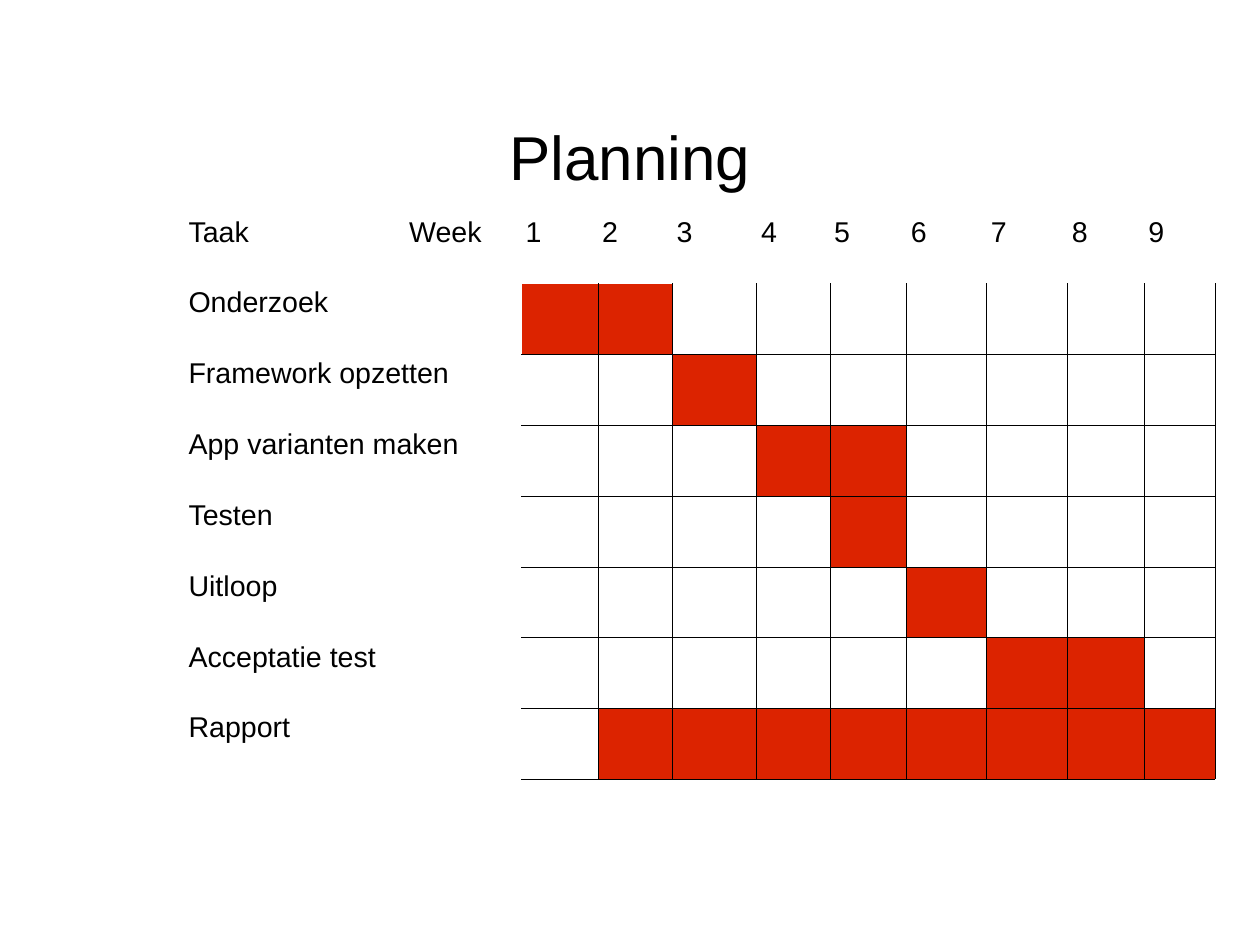
from lxml import etree
from pptx import Presentation, util as u
from pptx.dml.color import RGBColor
from pptx.enum import text
from pptx.oxml.ns import qn
from pptx.util import Inches

COLORS = {"ink": "000000", "paper": "FFFFFF", "busy": "DC2300"}
FONT = "Arial"
CM_PER_INCH = 2.54
LINE_SPACING = 0.93
BORDER_WIDTH = u.Pt(0.06)
ROW_HEIGHT = 0.62
LABEL_COLUMNS = 2
COLUMN_WIDTHS = [1.93, 1.02, 0.67, 0.65, 0.74, 0.64, 0.67, 0.7, 0.71, 0.67, 0.62]
WEEKS = range(1, 10)
# Task, first week, last week
TASKS = [
    ("Onderzoek", 1, 2),
    ("Framework opzetten", 3, 3),
    ("App varianten maken", 4, 5),
    ("Testen", 5, 5),
    ("Uitloop", 6, 6),
    ("Acceptatie test", 7, 8),
    ("Rapport", 2, 9),
]
SINGLE_CELL_LABELS = {"Uitloop"}


def write(frame, wording, size, align=text.PP_ALIGN.LEFT):
    paragraph = frame.paragraphs[0]
    paragraph.alignment = align
    paragraph.line_spacing = LINE_SPACING
    run = paragraph.add_run()
    run.text = wording
    run.font.name = FONT
    run.font.size = u.Pt(size)
    run.font.color.rgb = RGBColor.from_string(COLORS["ink"])


def add_title(slide, wording):
    title = slide.shapes.add_textbox(Inches(0.98), Inches(0.79), Inches(9.06), Inches(1.18))
    frame = title.text_frame
    frame.word_wrap = True
    frame.vertical_anchor = text.MSO_ANCHOR.MIDDLE
    frame.margin_left = frame.margin_right = frame.margin_bottom = 0
    frame.margin_top = Inches(0.04)
    write(frame, wording, 39, text.PP_ALIGN.CENTER)


def style_cell(cell, fill, left="paper", right="paper", top="paper", bottom="paper"):
    """Set margins, fill and the four border colours of a cell."""
    cell.margin_left = cell.margin_right = Inches(0.04)
    cell.margin_top = cell.margin_bottom = Inches(0.05)
    cell.fill.solid()
    cell.fill.fore_color.rgb = RGBColor.from_string(COLORS[fill])
    properties = cell._tc.get_or_add_tcPr()
    edges = {"a:lnL": left, "a:lnR": right, "a:lnT": top, "a:lnB": bottom}
    for position, (tag, color) in enumerate(edges.items()):
        border = etree.Element(qn(tag), w=str(int(BORDER_WIDTH)))
        solid = etree.SubElement(border, qn("a:solidFill"))
        etree.SubElement(solid, qn("a:srgbClr"), val=COLORS[color])
        properties.insert(position, border)


def fill_header(table):
    for column, heading in enumerate(["Taak", "Week", *map(str, WEEKS)]):
        cell = table.cell(0, column)
        style_cell(cell, "paper")
        write(cell.text_frame, heading, 18)


def fill_task(table, row, task, first, last):
    label = table.cell(row, 0)
    for column in range(LABEL_COLUMNS):
        style_cell(table.cell(row, column), "paper")
    if task not in SINGLE_CELL_LABELS:
        label.merge(table.cell(row, LABEL_COLUMNS - 1))
    write(label.text_frame, task, 18)
    for week in WEEKS:
        style_cell(
            table.cell(row, LABEL_COLUMNS + week - 1),
            "busy" if first <= week <= last else "paper",
            left="paper" if week == 1 else "ink",
            right="ink",
            top="paper" if row == 1 else "ink",
            bottom="ink",
        )


def add_planning(slide):
    rows = len(TASKS) + 1
    table = slide.shapes.add_table(
        rows, len(COLUMN_WIDTHS), Inches(1.61), Inches(1.86),
        Inches(sum(COLUMN_WIDTHS)), Inches(rows * ROW_HEIGHT),
    ).table
    table.first_row = table.horz_banding = False
    for column, width in zip(table.columns, COLUMN_WIDTHS):
        column.width = Inches(width)
    fill_header(table)
    for row, (task, first, last) in enumerate(TASKS, 1):
        fill_task(table, row, task, first, last)


def main():
    deck = Presentation()
    deck.slide_width = Inches(28 / CM_PER_INCH)
    deck.slide_height = Inches(21 / CM_PER_INCH)
    slide = deck.slides.add_slide(deck.slide_layouts[6])
    add_title(slide, "Planning")
    add_planning(slide)
    deck.save("out.pptx")


if __name__ == "__main__":
    main()
